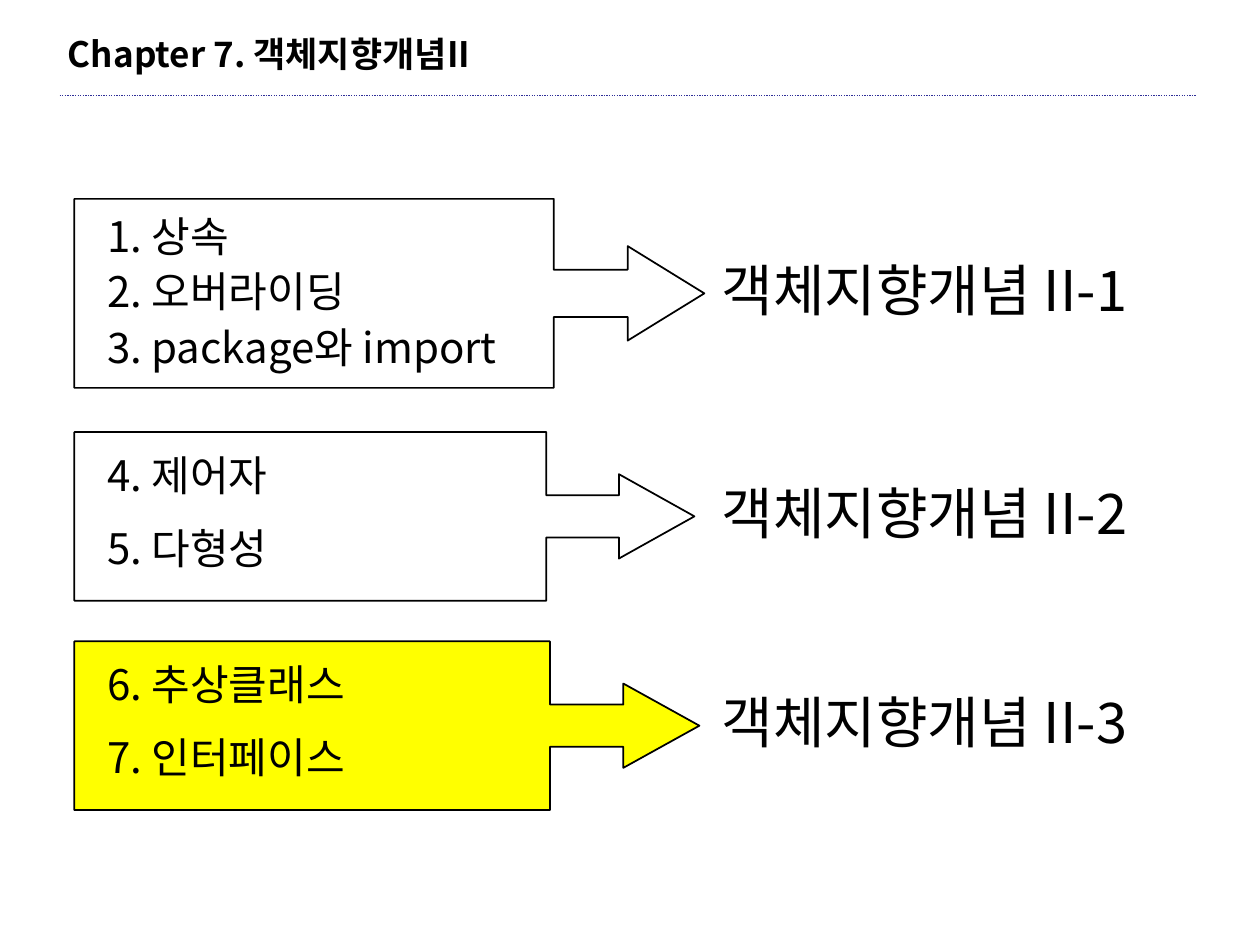
from pptx import Presentation
from pptx.dml.color import RGBColor
from pptx.enum.dml import MSO_LINE
from pptx.enum.shapes import MSO_CONNECTOR, MSO_SHAPE
from pptx.enum.text import MSO_AUTO_SIZE
from pptx.oxml.ns import qn
from pptx.util import Cm, Pt
from lxml.etree import SubElement

FONT = "Noto Sans CJK KR"
COLORS = {"text": "000000", "rule": "2F2F98", "current": "FFFF00"}

# top, width, height, first item offset, item pitch, items, label, fill
SECTIONS = [
    (4.01, 12.7, 3.81, 0.1, 1.12,
     ["1. 상속", "2. 오버라이딩", "3. package와 import"], "객체지향개념 II-1", None),
    (8.71, 12.5, 3.4, 0.23, 1.47,
     ["4. 제어자", "5. 다형성"], "객체지향개념 II-2", None),
    (12.93, 12.6, 3.4, 0.23, 1.47,
     ["6. 추상클래스", "7. 인터페이스"], "객체지향개념 II-3", "current"),
]


def color(name):
    return RGBColor.from_string(COLORS[name])


def add_text(slide, x, y, w, h, text, size, bold=False):
    tf = slide.shapes.add_textbox(Cm(x), Cm(y), Cm(w), Cm(h)).text_frame
    tf.word_wrap = True
    tf.auto_size = MSO_AUTO_SIZE.SHAPE_TO_FIT_TEXT
    r = tf.paragraphs[0].add_run()
    r.text = text
    r.font.name = FONT
    r.font.size = Pt(size)
    r.font.bold = bold
    r.font.color.rgb = color("text")
    SubElement(r.font._element, qn("a:ea")).set("typeface", FONT)


def add_header(slide, x, y, w):
    # Dotted rule under the chapter title
    rule_y = Cm(y + 1.4)
    rule = slide.shapes.add_connector(
        MSO_CONNECTOR.STRAIGHT, Cm(x), rule_y, Cm(x + w), rule_y)
    rule.line.color.rgb = color("rule")
    rule.line.width = Pt(0.75)
    rule.line.dash_style = MSO_LINE.ROUND_DOT
    SubElement(rule._element.spPr, qn("a:effectLst"))
    add_text(slide, x - 0.08, y, 10.59, 1.12, "Chapter 7. 객체지향개념II", 20, True)


def add_section(slide, x, y, w, h, first, pitch, items, label, fill):
    # Callout box with its arrow
    sp = slide.shapes.add_shape(
        MSO_SHAPE.RIGHT_ARROW_CALLOUT, Cm(x), Cm(y), Cm(w), Cm(h))
    sp.shadow.inherit = False
    head = 0.1217 * w / h
    for i, value in enumerate((0.25, 0.25, head, 0.761)):
        sp.adjustments[i] = value
    if fill:
        sp.fill.solid()
        sp.fill.fore_color.rgb = color(fill)
    else:
        sp.fill.background()
    sp.line.color.rgb = color("text")
    sp.line.width = Pt(1)

    # Topics in the box, and the part name beside the arrow tip
    for i, item in enumerate(items):
        add_text(slide, x + 0.41, y + first + i * pitch, 13.5, 1.27, item, 24)
    label_h = 1.63
    add_text(slide, x + 12.8, y + (h - label_h) / 2 - 0.08, 10.9, label_h, label, 32)


def main():
    prs = Presentation()
    prs.slide_width, prs.slide_height = Cm(25.4), Cm(19.05)
    slide = prs.slides.add_slide(prs.slide_layouts[6])
    add_header(slide, 1.2, 0.53, 22.9)
    for top, *section in SECTIONS:
        add_section(slide, 1.5, top, *section)
    prs.save("out.pptx")


if __name__ == "__main__":
    main()
